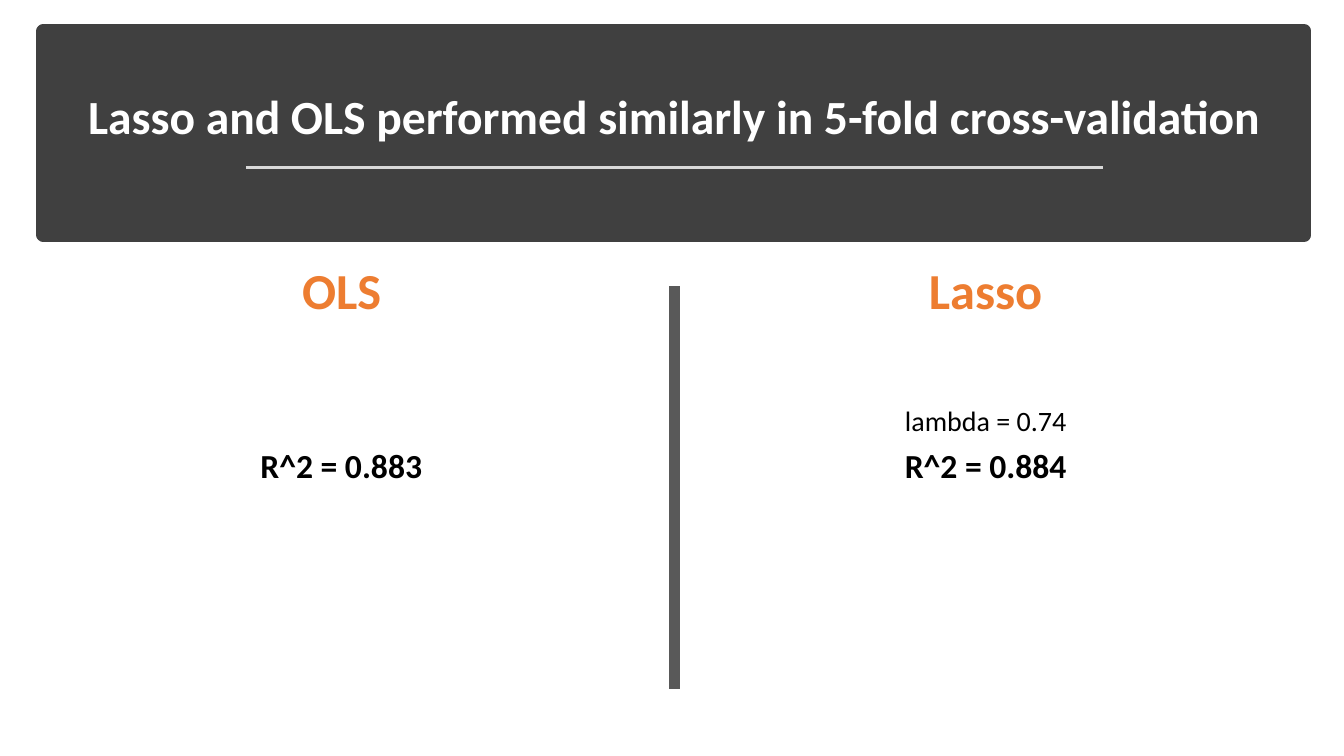
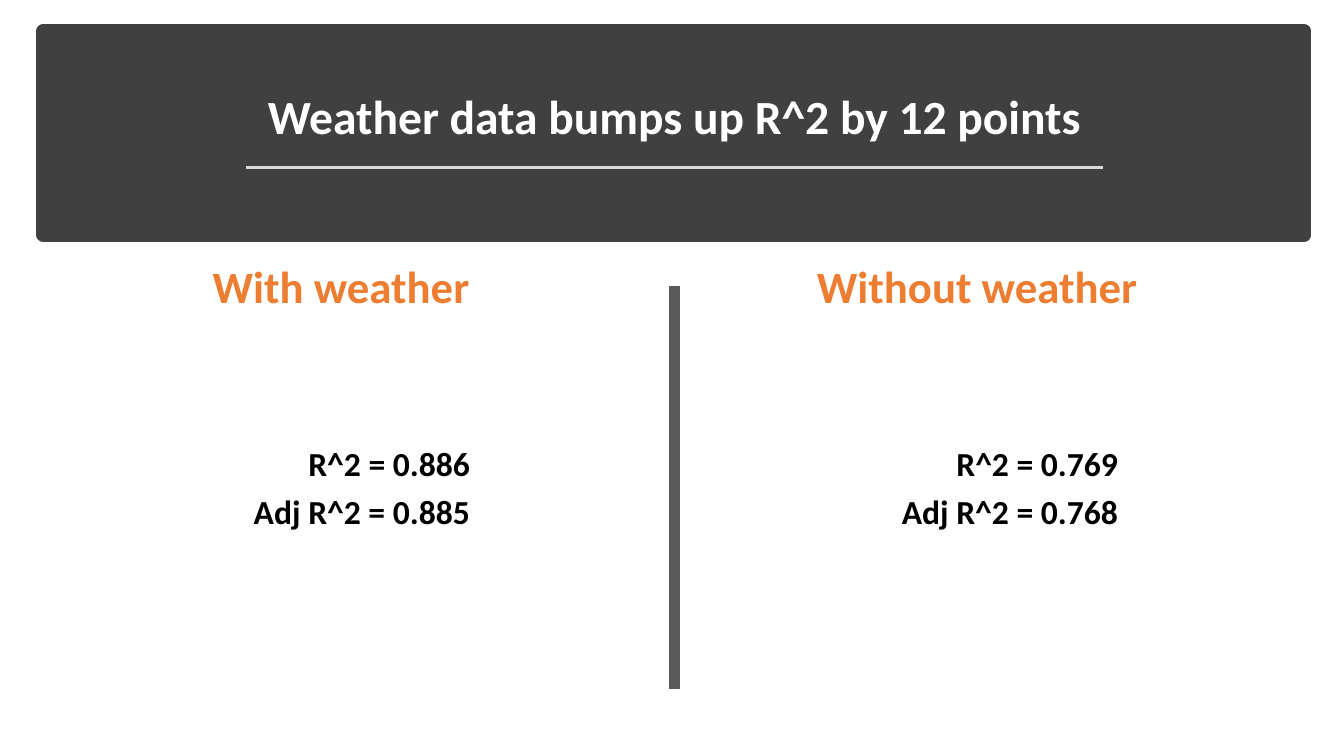
from dataclasses import dataclass

from lxml import etree
from pptx import Presentation
from pptx.dml.color import RGBColor
from pptx.enum.shapes import MSO_CONNECTOR, MSO_SHAPE
from pptx.enum.text import MSO_ANCHOR, MSO_AUTO_SIZE, PP_ALIGN
from pptx.oxml.ns import qn
from pptx.util import Pt

CENTER, RIGHT = PP_ALIGN.CENTER, PP_ALIGN.RIGHT
BOTTOM = MSO_ANCHOR.BOTTOM
NO_FIT, GROW = MSO_AUTO_SIZE.NONE, MSO_AUTO_SIZE.SHAPE_TO_FIT_TEXT
RECTANGLE, STRAIGHT = MSO_SHAPE.RECTANGLE, MSO_CONNECTOR.STRAIGHT


@dataclass(frozen=True)
class Theme:
    font: str = "Calibri"
    band: RGBColor = RGBColor(0x40, 0x40, 0x40)
    rule: RGBColor = RGBColor(0xD9, 0xD9, 0xD9)
    divider: RGBColor = RGBColor(0x59, 0x59, 0x59)
    title: RGBColor = RGBColor(0xFF, 0xFF, 0xFF)
    heading: RGBColor = RGBColor(0xED, 0x7D, 0x31)
    body: RGBColor = RGBColor(0x00, 0x00, 0x00)
    title_size: int = 34
    score_size: int = 24
    detail_size: int = 20


theme = Theme()


def write_lines(box, lines, color, align, space_after=0):
    """Fill a box with paragraphs given as (text, size, bold)."""
    frame = box.text_frame
    frame.word_wrap = True
    for index, (text, size, bold) in enumerate(lines):
        para = frame.add_paragraph() if index else frame.paragraphs[0]
        para.alignment = align
        para.space_after = Pt(space_after)
        span = para.add_run()
        span.text = text
        span.font.name = theme.font
        span.font.size = Pt(size)
        span.font.bold = bold
        span.font.color.rgb = color


def add_rule(page, start, end, color, width):
    """Draw a straight line without a shadow."""
    points = [Pt(value) for value in (*start, *end)]
    rule = page.shapes.add_connector(STRAIGHT, *points)
    rule.line.color.rgb = color
    rule.line.width = Pt(width)
    etree.SubElement(rule.element.spPr, qn("a:effectLst"))


# Content: a column is (heading, heading left and width,
# score lines, score left, top, width and height)
slides = [
    {
        "title": "Lasso and OLS performed similarly in 5-fold cross-validation",
        "heading_size": 36,
        "heading_height": 51,
        "align": CENTER,
        "columns": [
            ("OLS", (142.6, 203),
             [("R^2 = 0.883", theme.score_size, True)],
             (171.4, 314.6, 144.7, 36)),
            ("Lasso", (602.6, 203),
             [("lambda = 0.74", theme.detail_size, False),
              ("R^2 = 0.884", theme.score_size, True)],
             (570.2, 284.4, 267.8, 67)),
        ],
    },
    {
        "title": "Weather data bumps up R^2 by 12 points",
        "heading_size": 32,
        "heading_height": 46,
        "align": RIGHT,
        "columns": [
            ("With weather", (87, 313.2),
             [("R^2 = 0.886", theme.score_size, True),
              ("Adj R^2 = 0.885", theme.score_size, True)],
             (153.4, 312.5, 189.4, 71.3)),
            ("Without weather", (563, 270),
             [("R^2 = 0.769", theme.score_size, True),
              ("Adj R^2 = 0.768", theme.score_size, True)],
             (616.3, 312.5, 189.4, 71.3)),
        ],
    },
]

deck = Presentation()
deck.slide_width, deck.slide_height = Pt(960), Pt(540)
title_only = deck.slide_layouts[5]
heading_top = 181.4

for content in slides:
    page = deck.slides.add_slide(title_only)

    # Title
    title = page.shapes.title
    title.left, title.top = Pt(43.2), Pt(33.8)
    title.width, title.height = Pt(877), Pt(73.4)
    title.text_frame.vertical_anchor = BOTTOM
    title.text_frame.auto_size = NO_FIT
    write_lines(title, [(content["title"], theme.title_size, True)],
                theme.title, CENTER)
    title.text_frame.paragraphs[0].line_spacing = 0.9

    # Dark band, placed behind the title
    band = page.shapes.add_shape(RECTANGLE, Pt(31), Pt(22.3), Pt(900.7), Pt(145.4))
    band.shadow.inherit = False
    band.fill.solid()
    band.fill.fore_color.rgb = theme.band
    band.line.color.rgb = theme.band
    band.line.width = Pt(10)
    title.element.addprevious(band.element)

    # Title underline and column divider
    add_rule(page, (175.7, 119.5), (787.7, 119.5), theme.rule, 1.75)
    add_rule(page, (481.7, 204.5), (481.7, 492.5), theme.divider, 8)

    # Two columns of scores
    for heading, (left, width), scores, place in content["columns"]:
        heading_box = page.shapes.add_textbox(
            Pt(left), Pt(heading_top), Pt(width), Pt(content["heading_height"]))
        heading_box.text_frame.auto_size = GROW
        write_lines(heading_box, [(heading, content["heading_size"], True)],
                    theme.heading, CENTER)

        score_box = page.shapes.add_textbox(*[Pt(value) for value in place])
        score_box.text_frame.auto_size = GROW
        write_lines(score_box, scores, theme.body, content["align"], 6)

deck.save("out.pptx")
